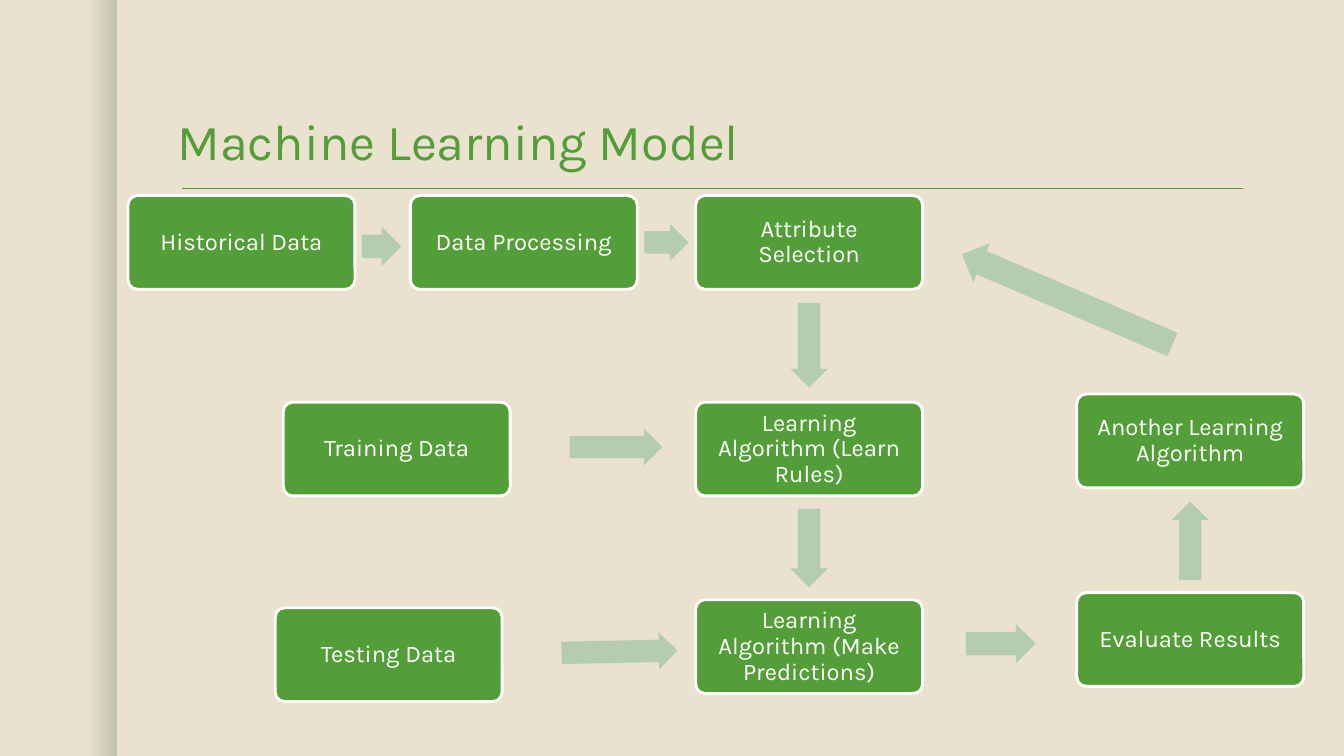
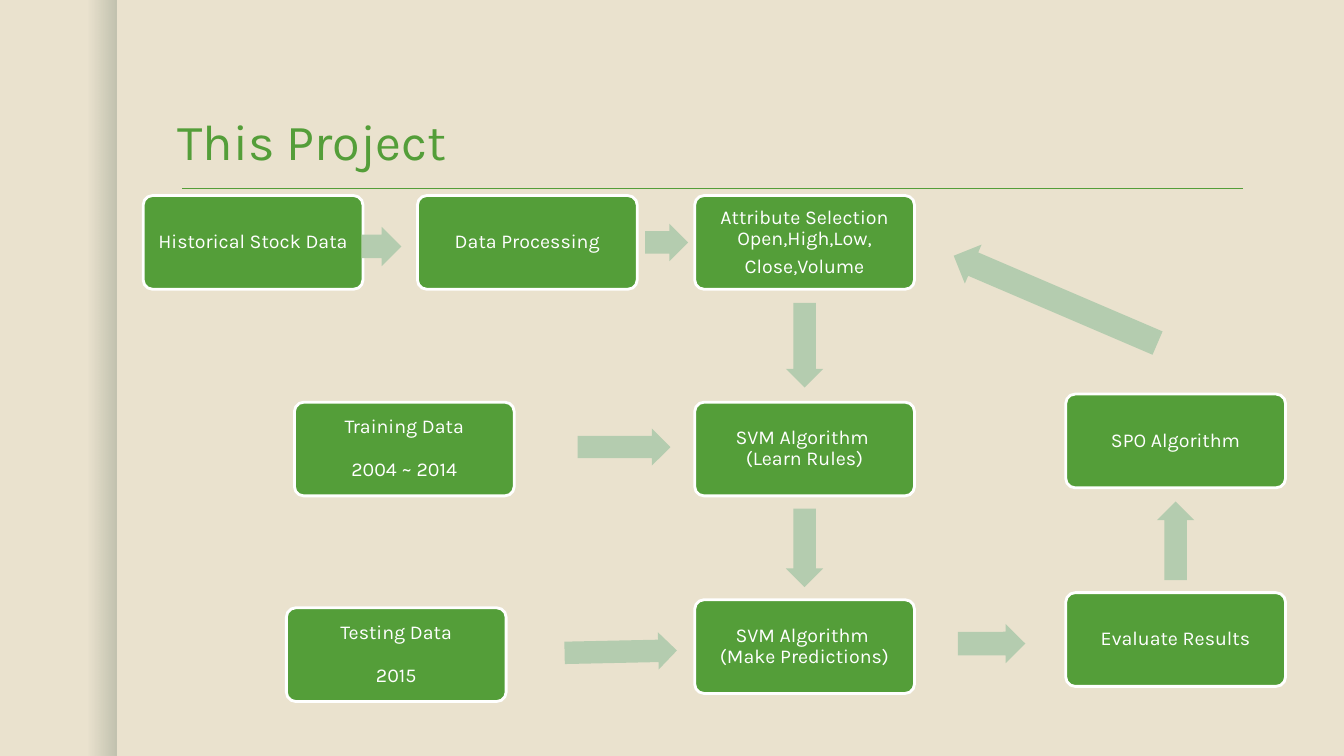
from pptx import Presentation, util as u
from pptx.dml.color import RGBColor
from pptx.enum import shapes, text
from pptx.oxml.ns import qn
from lxml import etree

GREEN = RGBColor(0x54, 0x9E, 0x39)
PALE = RGBColor(0xB4, 0xCC, 0xAF)
DARK = RGBColor(0x45, 0x5F, 0x51)
SAND = RGBColor(0xEA, 0xE2, 0xCE)
WHITE = RGBColor(0xFF, 0xFF, 0xFF)
FACE = "Karla"
HIGH = 0.93

TOPS = [1.94, 1.94, 1.94, 3.99, 5.95, 5.88, 3.91, 3.99, 6.03]

FLOWS = [
    {
        "title": "Machine Learning Model",
        "wide": 2.25, "size": 17, "pad": 0.1,
        "cols": [1.27, 4.07, 6.9, 6.9, 6.9, 10.68, 10.68, 2.81, 2.73],
        "boxes": [
            "Historical Data", "Data Processing", "Attribute Selection",
            "Learning Algorithm (Learn Rules)",
            "Learning Algorithm (Make Predictions)",
            "Evaluate Results", "Another Learning Algorithm",
            "Training Data", "Testing Data",
        ],
        "gaps": {},
        "heads": [6.39, 5.57, 9.58, 9.45, 5.65],
    },
    {
        "title": "This Project",
        "wide": 2.18, "size": 14, "pad": 0.09,
        "cols": [1.42, 4.14, 6.89, 6.89, 6.89, 10.57, 10.57, 2.92, 2.84],
        "boxes": [
            "Historical Stock Data", "Data Processing",
            "Attribute Selection\vOpen,High,Low,\nClose,Volume",
            "SVM Algorithm \v(Learn Rules)",
            "SVM Algorithm \v(Make Predictions)",
            "Evaluate Results", "SPO Algorithm",
            "Training Data\n2004 ~ 2014", "Testing Data\n2015",
        ],
        "gaps": {2: 4.9, 7: 15.4, 8: 15.4},
        "heads": [6.4, 5.6, 9.5, 9.37, 5.73],
    },
]

SIDE = [
    (2.22, 0.195, 0.37, 0),
    (6.28, 0.511, 0.37, 358.8),
    (6.19, 0.307, 0.39, 359.9),
    (2.76, 1.009, 0.42, 203.2),
]
DROPS = [(2, 3.24, 0.84, 90), (3, 5.25, 0.78, 90), (5, 5.18, 0.78, 270)]


def style(item, form):
    for key, val in form.items():
        setattr(item, key, val)


def write(font, size, tint):
    style(font, {"name": FACE, "size": u.Pt(size), "bold": False})
    font.color.rgb = tint


def shape(slide, kind, at, fill):
    item = slide.shapes.add_shape(kind, *map(u.Inches, at))
    item.shadow.inherit = False
    item.fill.solid()
    item.fill.fore_color.rgb = fill
    item.line.fill.background()
    return item


def arrow(slide, left, top, wide, high, turn):
    item = shape(slide, shapes.MSO_SHAPE.RIGHT_ARROW,
                 (left, top, wide, high), PALE)
    item.adjustments[0] = 0.6
    item.adjustments[1] = 0.5
    item.rotation = turn


def box(slide, at, words, flow, gap):
    item = shape(slide, shapes.MSO_SHAPE.ROUNDED_RECTANGLE, at, GREEN)
    item.adjustments[0] = 0.1
    item.line.color.rgb = WHITE
    item.line.width = u.Pt(2)
    frame = item.text_frame
    pad = u.Inches(flow["pad"])
    style(frame, {"word_wrap": True, "vertical_anchor": text.MSO_ANCHOR.MIDDLE,
                  "margin_left": pad, "margin_right": pad,
                  "margin_top": pad, "margin_bottom": pad})
    frame.text = words
    for spot, para in enumerate(frame.paragraphs):
        style(para, {"alignment": text.PP_ALIGN.CENTER, "line_spacing": 0.9})
        if spot:
            para.space_before = u.Pt(gap)
        for run in para.runs:
            write(run.font, flow["size"], WHITE)


def head(slide, words):
    title = slide.shapes.title
    style(title, dict(zip(("left", "top", "width", "height"),
                          map(u.Inches, (1.66, 0.42, 10.75, 1.33)))))
    frame = title.text_frame
    style(frame, {"text": words, "word_wrap": True,
                  "vertical_anchor": text.MSO_ANCHOR.BOTTOM,
                  "auto_size": text.MSO_AUTO_SIZE.NONE})
    para = frame.paragraphs[0]
    style(para, {"alignment": text.PP_ALIGN.LEFT, "line_spacing": 0.9})
    write(para.runs[0].font, 36, GREEN)


def dress(layout, slide):
    layout.background.fill.solid()
    layout.background.fill.fore_color.rgb = SAND
    band = shape(slide, shapes.MSO_SHAPE.RECTANGLE, (0, 0, 1.16, 7.5), DARK)
    band.fill.gradient()
    band.fill.gradient_angle = 0
    for stop, place in zip(band.fill.gradient_stops, (0.75, 1)):
        stop.position = place
        stop.color.rgb = DARK
    for tint, clear in zip(band.element.iter(qn("a:srgbClr")), (0, 25000)):
        etree.SubElement(tint, qn("a:alpha")).set("val", str(clear))
    rule = slide.shapes.add_connector(
        shapes.MSO_CONNECTOR.STRAIGHT,
        *map(u.Inches, (1.81, 1.87, 12.33, 1.87)))
    rule.line.color.rgb = GREEN
    rule.line.width = u.Pt(1)
    etree.SubElement(rule.element.spPr, qn("a:effectLst"))
    for spot, item in enumerate((band, rule), 2):
        layout.shapes.element.insert(spot, item.element)


def draw(slide, flow):
    head(slide, flow["title"])
    wide, cols = flow["wide"], flow["cols"]
    for spot, (left, top, words) in enumerate(zip(cols, TOPS, flow["boxes"])):
        box(slide, (left, top, wide, HIGH), words, flow,
            flow["gaps"].get(spot, 0))
    for left, (top, part, high, turn) in zip(flow["heads"], SIDE):
        arrow(slide, left, top, part * wide, high, turn)
    for spot, top, long, turn in DROPS:
        arrow(slide, cols[spot] + (wide - long) / 2, top, long, 0.37, turn)
    arrow(slide, flow["heads"][-1], 4.25, 0.92, 0.37, 0)
    arrow(slide, 3.59, 2.25, 0.39, 0.39, 0)


def main():
    deck = Presentation()
    deck.slide_width = u.Inches(13.33)
    deck.slide_height = u.Inches(7.5)
    layout = deck.slide_layouts[5]
    for spot, flow in enumerate(FLOWS):
        slide = deck.slides.add_slide(layout)
        if spot == 0:
            dress(layout, slide)
        draw(slide, flow)
    deck.save("out.pptx")


if __name__ == "__main__":
    main()
